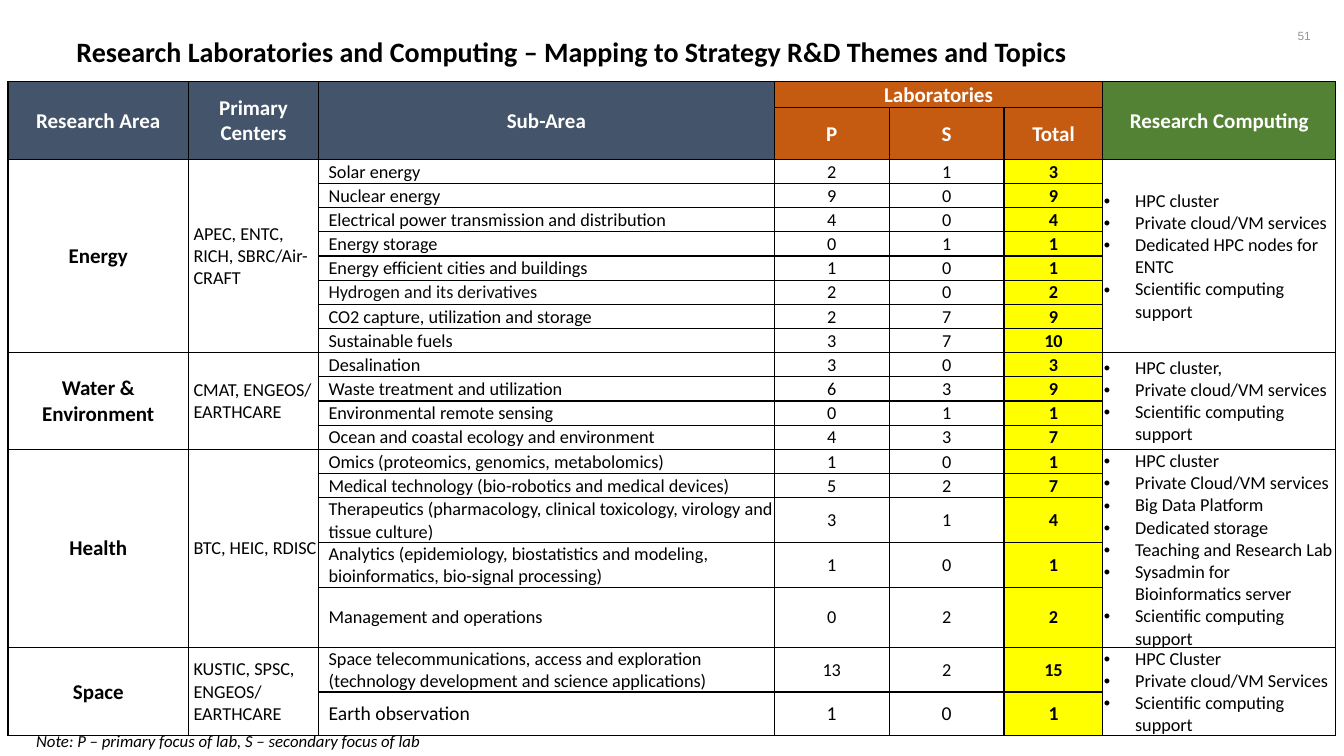
"""Build the slide that maps research laboratories and computing to R&D themes."""
from lxml import etree
from pptx import Presentation, util as u
from pptx.dml.color import RGBColor
from pptx.enum import text
from pptx.oxml import ns

PX = 9144
COLORS = {"black": "000000", "soft black": "0D0D0D", "white": "FFFFFF", "gray": "96969A",
          "slate": "44546A", "orange": "C55A11", "green": "548235", "yellow": "FFFF00"}
LEFT, CENTER = text.PP_ALIGN.LEFT, text.PP_ALIGN.CENTER
COLUMN_WIDTHS = [179, 129, 452, 114, 114, 98, 231]
ROW_HEIGHTS = [22] * 2 + [24] * 14 + [37, 37, 43, 37, 36]
HEADERS = [
    (0, 0, 1, 0, "Research Area", "slate"),
    (0, 1, 1, 1, "Primary Centers", "slate"),
    (0, 2, 1, 2, "Sub-Area", "slate"),
    (0, 3, 0, 5, "Laboratories", "orange"),
    (0, 6, 1, 6, "Research Computing", "green"),
    (1, 3, 1, 3, "P", "orange"),
    (1, 4, 1, 4, "S", "orange"),
    (1, 5, 1, 5, "Total", "orange"),
]
AREAS = [
    ("Energy", "APEC, ENTC, RICH, SBRC/Air-CRAFT",
     [("Solar energy", 2, 1),
      ("Nuclear energy", 9, 0),
      ("Electrical power transmission and distribution", 4, 0),
      ("Energy storage", 0, 1),
      ("Energy efficient cities and buildings", 1, 0),
      ("Hydrogen and its derivatives", 2, 0),
      ("CO2 capture, utilization and storage", 2, 7),
      ("Sustainable fuels", 3, 7)],
     ["HPC cluster", "Private cloud/VM services", "Dedicated HPC nodes for ENTC",
      "Scientific computing support"]),
    ("Water & Environment", "CMAT, ENGEOS/ EARTHCARE",
     [("Desalination", 3, 0),
      ("Waste treatment and utilization", 6, 3),
      ("Environmental remote sensing", 0, 1),
      ("Ocean and coastal ecology and environment", 4, 3)],
     ["HPC cluster,", "Private cloud/VM services", "Scientific computing support"]),
    ("Health", "BTC, HEIC, RDISC",
     [("Omics (proteomics, genomics, metabolomics)", 1, 0),
      ("Medical technology (bio-robotics and medical devices)", 5, 2),
      ("Therapeutics (pharmacology, clinical toxicology, virology and tissue culture)", 3, 1),
      ("Analytics (epidemiology, biostatistics and modeling, bioinformatics, "
       "bio-signal processing)", 1, 0),
      ("Management and operations", 0, 2)],
     ["HPC cluster", "Private Cloud/VM services", "Big Data Platform", "Dedicated storage",
      "Teaching and Research Lab", "Sysadmin for Bioinformatics server",
      "Scientific computing support"]),
    ("Space", "KUSTIC, SPSC, ENGEOS/ EARTHCARE",
     [("Space telecommunications, access and exploration "
       "(technology development and science applications)", 13, 2),
      ("Earth observation", 1, 0)],
     ["HPC Cluster", "Private cloud/VM Services", "Scientific computing support"]),
]


def write(frame, lines, size, color="black", align=LEFT, bold=False, italic=False,
          bullet=False, name="Calibri"):
    for index, line in enumerate(lines):
        paragraph = frame.paragraphs[0] if index == 0 else frame.add_paragraph()
        paragraph.text = line
        paragraph.alignment = align
        if bullet:
            properties = paragraph._p.get_or_add_pPr()
            properties.set("marL", str(31 * PX))
            properties.set("indent", str(-31 * PX))
            etree.SubElement(properties, ns.qn("a:buFont"), typeface="Arial")
            etree.SubElement(properties, ns.qn("a:buChar"), char="•")
        font = paragraph.font
        font.name, font.size, font.bold, font.italic = name, u.Pt(size), bold, italic
        font.color.rgb = RGBColor.from_string(COLORS[color])


def fill_cell(cell, lines, size, fill=None, inset=1, **style):
    cell.margin_left, cell.margin_right = inset * PX, PX
    cell.margin_top, cell.margin_bottom = PX, 0
    cell.vertical_anchor = text.MSO_ANCHOR.MIDDLE
    if fill:
        cell.fill.solid()
        cell.fill.fore_color.rgb = RGBColor.from_string(COLORS[fill])
    write(cell.text_frame, lines, size, **style)


presentation = Presentation()
presentation.slide_width, presentation.slide_height = 1333 * PX, 750 * PX
slide = presentation.slides.add_slide(presentation.slide_layouts[6])

number = slide.shapes.add_textbox(1265 * PX, 22 * PX, 57 * PX, 27 * PX).text_frame
number.margin_left = number.margin_right = number.margin_top = number.margin_bottom = 0
number.vertical_anchor = text.MSO_ANCHOR.MIDDLE
number.word_wrap = True
write(number, ["51"], 8.5, "gray", CENTER, name="Arial")

title = slide.shapes.add_textbox(66 * PX, 29 * PX, 1199 * PX, 44 * PX).text_frame
title.word_wrap = True
title.auto_size = text.MSO_AUTO_SIZE.SHAPE_TO_FIT_TEXT
write(title, ["Research Laboratories and Computing – Mapping to Strategy R&D Themes and Topics"],
      20, bold=True)

note = slide.shapes.add_textbox(26 * PX, 720 * PX, 405 * PX, 30 * PX).text_frame
note.word_wrap = False
note.auto_size = text.MSO_AUTO_SIZE.SHAPE_TO_FIT_TEXT
write(note, ["Note: P – primary focus of lab, S – secondary focus of lab"], 12, italic=True)

table_shape = slide.shapes.add_table(len(ROW_HEIGHTS), len(COLUMN_WIDTHS),
                                     8 * PX, 81 * PX, 1317 * PX, 621 * PX)
table = table_shape.table
table.first_row = table.horz_banding = False
for column, width in zip(table.columns, COLUMN_WIDTHS):
    column.width = width * PX
for row, height in zip(table.rows, ROW_HEIGHTS):
    row.height = height * PX
table_shape.height = 621 * PX

for cell in table.iter_cells():
    cell.fill.background()
    properties = cell._tc.get_or_add_tcPr()
    for position, side in enumerate(["lnL", "lnR", "lnT", "lnB"]):
        border = etree.Element(ns.qn(f"a:{side}"), w=str(u.Pt(1)))
        line_fill = etree.SubElement(border, ns.qn("a:solidFill"))
        etree.SubElement(line_fill, ns.qn("a:srgbClr"), val=COLORS["black"])
        properties.insert(position, border)

for top, left, bottom, right, label, fill in HEADERS:
    if (top, left) != (bottom, right):
        table.cell(top, left).merge(table.cell(bottom, right))
    fill_cell(table.cell(top, left), [label], 15, fill, color="white", align=CENTER, bold=True)

first = 2
for area, centers, topics, computing in AREAS:
    last = first + len(topics) - 1
    for column in (0, 1, 6):
        table.cell(first, column).merge(table.cell(last, column))
    fill_cell(table.cell(first, 0), [area], 15, align=CENTER, bold=True)
    fill_cell(table.cell(first, 1), [centers], 13, inset=5)
    fill_cell(table.cell(first, 6), computing, 13, bullet=True)
    for row, (topic, primary, secondary) in enumerate(topics, first):
        size = 14 if topic == "Earth observation" else 13
        color = "soft black" if topic.startswith("Hydrogen") else "black"
        fill_cell(table.cell(row, 2), [topic], size, inset=10, color=color)
        fill_cell(table.cell(row, 3), [str(primary)], size, align=CENTER)
        fill_cell(table.cell(row, 4), [str(secondary)], size, align=CENTER)
        fill_cell(table.cell(row, 5), [str(primary + secondary)], size, "yellow",
                  align=CENTER, bold=True)
    first = last + 1

presentation.save("out.pptx")
